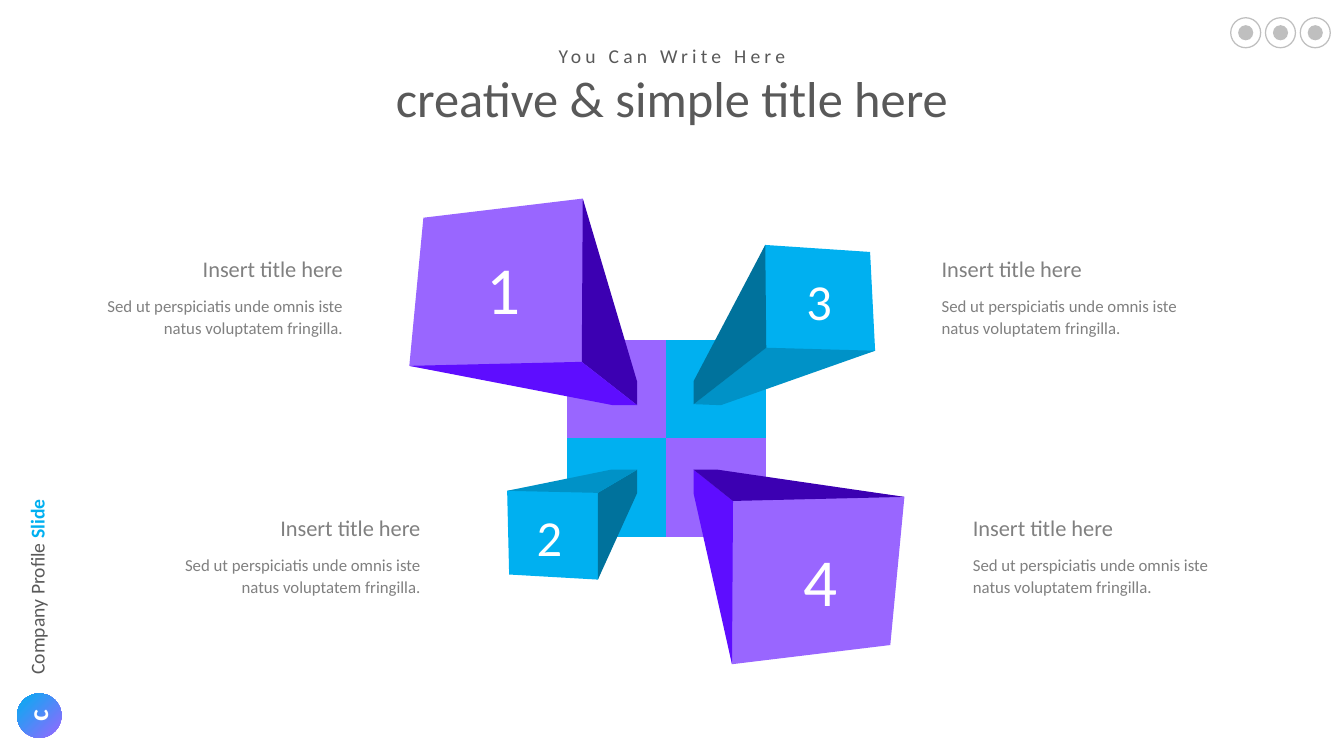
from pptx import Presentation
from pptx import util as u
from pptx.dml.color import RGBColor
from pptx.enum import shapes, text

COLORS = {
    "violet": "9966FF", "violet_mid": "5E0DFF", "violet_dark": "3C00B2",
    "blue": "00B0F0", "blue_mid": "0092C7", "blue_dark": "00729C",
    "white": "FFFFFF", "title": "595959", "body": "808080", "icon": "BFBFBF",
}
ALIGN = {"l": text.PP_ALIGN.LEFT, "c": text.PP_ALIGN.CENTER, "r": text.PP_ALIGN.RIGHT}
BODY = "Sed ut perspiciatis unde omnis iste natus voluptatem fringilla."

# Each pillar: base tile corner, then (colour, outline) for its faces back to front
PILLARS = [
    ((5.62, 3.37), "violet", [
        ("violet", [(5.78, 1.97), (6.32, 4.02), (4.06, 3.63), (4.2, 2.16)]),
        ("violet_dark", [(5.78, 1.97), (6.32, 3.79), (6.32, 4.02), (5.77, 3.59)]),
        ("violet_mid", [(5.77, 3.59), (6.32, 4.02), (6.08, 4.02), (4.06, 3.63)])]),
    ((6.61, 3.37), "blue", [
        ("blue", [(8.63, 2.5), (8.68, 3.48), (6.88, 4.01), (7.59, 2.43)]),
        ("blue_mid", [(8.68, 3.48), (7.15, 4.02), (6.88, 4.01), (7.6, 3.45)]),
        ("blue_dark", [(7.6, 3.45), (6.88, 4.01), (6.88, 3.78), (7.59, 2.43)])]),
    ((6.61, 4.35), "violet", [
        ("violet", [(8.97, 4.93), (8.83, 6.4), (7.26, 6.59), (6.88, 4.66)]),
        ("violet_mid", [(7.26, 6.59), (6.88, 4.9), (6.88, 4.66), (7.27, 4.97)]),
        ("violet_dark", [(7.27, 4.97), (6.88, 4.66), (7.12, 4.66), (8.97, 4.93)])]),
    ((5.62, 4.35), "blue", [
        ("blue", [(6.32, 4.66), (5.93, 5.75), (5.05, 5.7), (5.03, 4.87)]),
        ("blue_dark", [(5.93, 4.89), (6.32, 4.66), (6.32, 4.89), (5.93, 5.75)]),
        ("blue_mid", [(5.03, 4.87), (6.06, 4.66), (6.32, 4.66), (5.93, 4.89)])]),
]
NUMBERS = [
    ("1", (4.73, 2.43, 0.43, 0.85), 48), ("3", (7.89, 2.65, 0.47, 0.66), 36),
    ("4", (7.84, 5.33, 0.6, 0.85), 48), ("2", (5.22, 4.99, 0.46, 0.66), 36),
]
# Edge next to the pillar, top, alignment
CAPTIONS = [(4.27, 5.05, "r"), (9.24, 2.48, "l"), (3.5, 2.48, "r"), (9.55, 5.05, "l")]


def rgb(name):
    return RGBColor.from_string(COLORS[name])


def plain(sp, color):
    sp.fill.solid()
    sp.fill.fore_color.rgb = rgb(color)
    sp.line.fill.background()
    sp.shadow.inherit = False
    return sp


def add_polygon(s, points, color):
    corners = [(u.Inches(x), u.Inches(y)) for x, y in points]
    builder = s.shapes.build_freeform(*corners[0])
    builder.add_line_segments(corners[1:], close=True)
    return plain(builder.convert_to_shape(), color)


def add_preset(s, kind, box, color):
    return plain(s.shapes.add_shape(kind, *map(u.Inches, box)), color)


def add_text(s, box, content, size, color, align="l", bold=False, wrap=False,
             middle=False, line=None, spacing=None, rotation=0, accent=None):
    """Add a text box; accent is an optional (text, colour) bold ending."""
    sp = s.shapes.add_textbox(*map(u.Inches, box))
    sp.rotation = rotation
    tf = sp.text_frame
    tf.word_wrap = wrap
    tf.auto_size = text.MSO_AUTO_SIZE.SHAPE_TO_FIT_TEXT
    if middle:
        tf.vertical_anchor = text.MSO_ANCHOR.MIDDLE
    p = tf.paragraphs[0]
    p.alignment = ALIGN[align]
    if line:
        p.line_spacing = line
    runs = [(content, color, bold)]
    if accent:
        runs.append((*accent, True))
    for words, run_color, run_bold in runs:
        r = p.add_run()
        r.text = words
        r.font.name = "Calibri"
        r.font.size = u.Pt(size)
        r.font.bold = run_bold
        r.font.color.rgb = rgb(run_color)
        if spacing:
            r.font._element.set("spc", str(spacing * 100))


def add_pillar(s, corner, color, faces):
    x, y = corner
    right, bottom = x + 0.99, y + 0.98
    add_polygon(s, [(x, y), (right, y), (right, bottom), (x, bottom)], color)
    for face_color, points in faces:
        add_polygon(s, points, face_color)


def add_caption(s, edge, top, align):
    def left(width):
        return edge - width if align == "r" else edge

    add_text(s, (left(1.61), top, 1.61, 0.37), "Insert title here", 16, "body", align)
    add_text(s, (left(2.82), top + 0.38, 2.82, 0.55), BODY, 12, "body", align,
             wrap=True, line=1.1)


def add_badge(s):
    sp = add_preset(s, shapes.MSO_SHAPE.OVAL, (0.17, 6.88, 0.44, 0.44), "violet")
    sp.fill.gradient()
    sp.fill.gradient_angle = 135
    for stop, color, position in zip(sp.fill.gradient_stops, ("violet", "blue"), (0, 1)):
        stop.color.rgb = rgb(color)
        stop.position = position
    add_text(s, (0.21, 6.88, 0.32, 0.44), "c", 20, "white", "c", bold=True, rotation=270)


def add_icon(s, left):
    ring = add_preset(s, shapes.MSO_SHAPE.DONUT, (left, 0.17, 0.31, 0.31), "icon")
    ring.adjustments[0] = 0.04
    add_preset(s, shapes.MSO_SHAPE.OVAL, (left + 0.08, 0.25, 0.15, 0.15), "icon")


def main():
    prs = Presentation()
    prs.slide_width, prs.slide_height = u.Inches(13.33), u.Inches(7.5)
    s = prs.slides.add_slide(prs.slide_layouts[6])

    # Pillars with their numbers
    for pillar in PILLARS:
        add_pillar(s, *pillar)
    for number, box, size in NUMBERS:
        add_text(s, box, number, size, "white", "c", middle=True)

    # Captions
    for caption in CAPTIONS:
        add_caption(s, *caption)

    # Heading
    add_text(s, (5.41, 0.39, 2.51, 0.34), "You Can Write Here", 14, "title", "c", spacing=3)
    add_text(s, (2.39, 0.68, 8.55, 0.65), "creative & simple title here", 36, "title", "c",
             wrap=True, line=0.9)

    # Side label and corner icons
    add_badge(s)
    add_text(s, (-0.6, 5.65, 1.94, 0.34), "Company Profile ", 14, "title",
             rotation=270, accent=("Slide", "blue"))
    for i in range(3):
        add_icon(s, 12.2 + 0.345 * i)

    prs.save("out.pptx")


if __name__ == "__main__":
    main()
